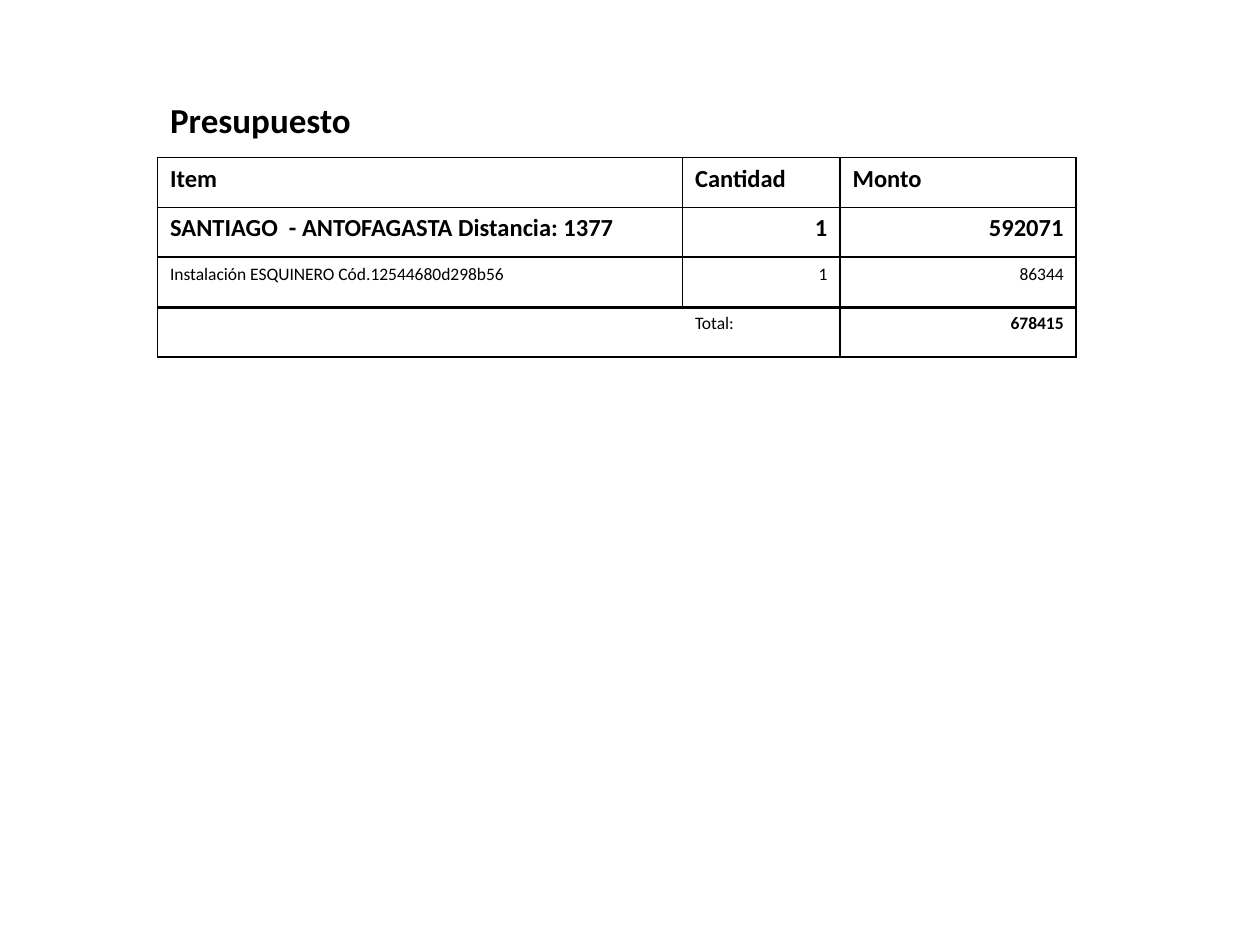
import pptx
import pptx.dml.color
import pptx.enum.text
import pptx.oxml
import pptx.oxml.ns
import pptx.util

PX = 9525
BLACK = pptx.dml.color.RGBColor(0x00, 0x00, 0x00)
WHITE = pptx.dml.color.RGBColor(0xFF, 0xFF, 0xFF)
ALIGN = pptx.enum.text.PP_ALIGN


def format_text(paragraph, size, bold, align):
    paragraph.alignment = align
    font = paragraph.font if not paragraph.runs else paragraph.runs[0].font
    values = {"name": "Calibri", "size": pptx.util.Pt(size), "bold": bold}
    for attribute, value in values.items():
        setattr(font, attribute, value)
    font.color.rgb = BLACK


def add_borders(cell, widths):
    properties = cell._tc.get_or_add_tcPr()
    for position, (side, points) in enumerate(widths.items()):
        fill = f'<a:solidFill><a:srgbClr val="{BLACK}"/></a:solidFill>' if points else "<a:noFill/>"
        border = pptx.oxml.parse_xml(
            f'<a:ln{side} {pptx.oxml.ns.nsdecls("a")} w="{points * 12700}">{fill}</a:ln{side}>'
        )
        properties.insert(position, border)


presentation = pptx.Presentation()
presentation.slide_width = 960 * PX
presentation.slide_height = 720 * PX
slide = presentation.slides.add_slide(presentation.slide_layouts[5])

heading = slide.shapes.title
place = {"left": 120, "top": 70, "width": 600, "height": 300}
for attribute, value in place.items():
    setattr(heading, attribute, value * PX)
heading.text_frame.text = "Presupuesto"
frame_format = {
    "word_wrap": True,
    "auto_size": pptx.enum.text.MSO_AUTO_SIZE.SHAPE_TO_FIT_TEXT,
    "vertical_anchor": pptx.enum.text.MSO_ANCHOR.TOP,
}
for attribute, value in frame_format.items():
    setattr(heading.text_frame, attribute, value)
format_text(heading.text_frame.paragraphs[0], 20, True, ALIGN.LEFT)

column_widths = [400, 120, 180]
row_height = 38
budget_rows = [
    (["Item", "Cantidad", "Monto"], 14, True),
    (["SANTIAGO  - ANTOFAGASTA Distancia: 1377", "1", "592071"], 14, True),
    (["Instalación ESQUINERO Cód.12544680d298b56", "1", "86344"], 10, False),
    (["", "Total:", "678415"], 10, False),
]
total_row = len(budget_rows) - 1
budget = slide.shapes.add_table(
    len(budget_rows), len(column_widths), 120 * PX, 120 * PX,
    sum(column_widths) * PX, row_height * len(budget_rows) * PX,
).table
budget.first_row = False
budget.horz_banding = False
for column, width in zip(budget.columns, column_widths):
    column.width = width * PX

for row_index, (texts, size, bold) in enumerate(budget_rows):
    budget.rows[row_index].height = row_height * PX
    for column_index, text in enumerate(texts):
        cell = budget.cell(row_index, column_index)
        cell.text = text
        is_total = row_index == total_row and column_index == 2
        align = ALIGN.RIGHT if text.isdigit() else ALIGN.LEFT
        format_text(cell.text_frame.paragraphs[0], size, bold or is_total, align)
        if row_index == total_row:
            cell.fill.background()
        else:
            cell.fill.solid()
            cell.fill.fore_color.rgb = WHITE
        widths = {"L": 1, "R": 1, "T": 1, "B": 1}
        if row_index == total_row - 1:
            widths["B"] = 2
        if row_index == total_row:
            widths["T"] = 2
            if column_index == 0:
                widths["R"] = 0
            if column_index == 1:
                widths["L"] = 0
        add_borders(cell, widths)

presentation.save("out.pptx")
